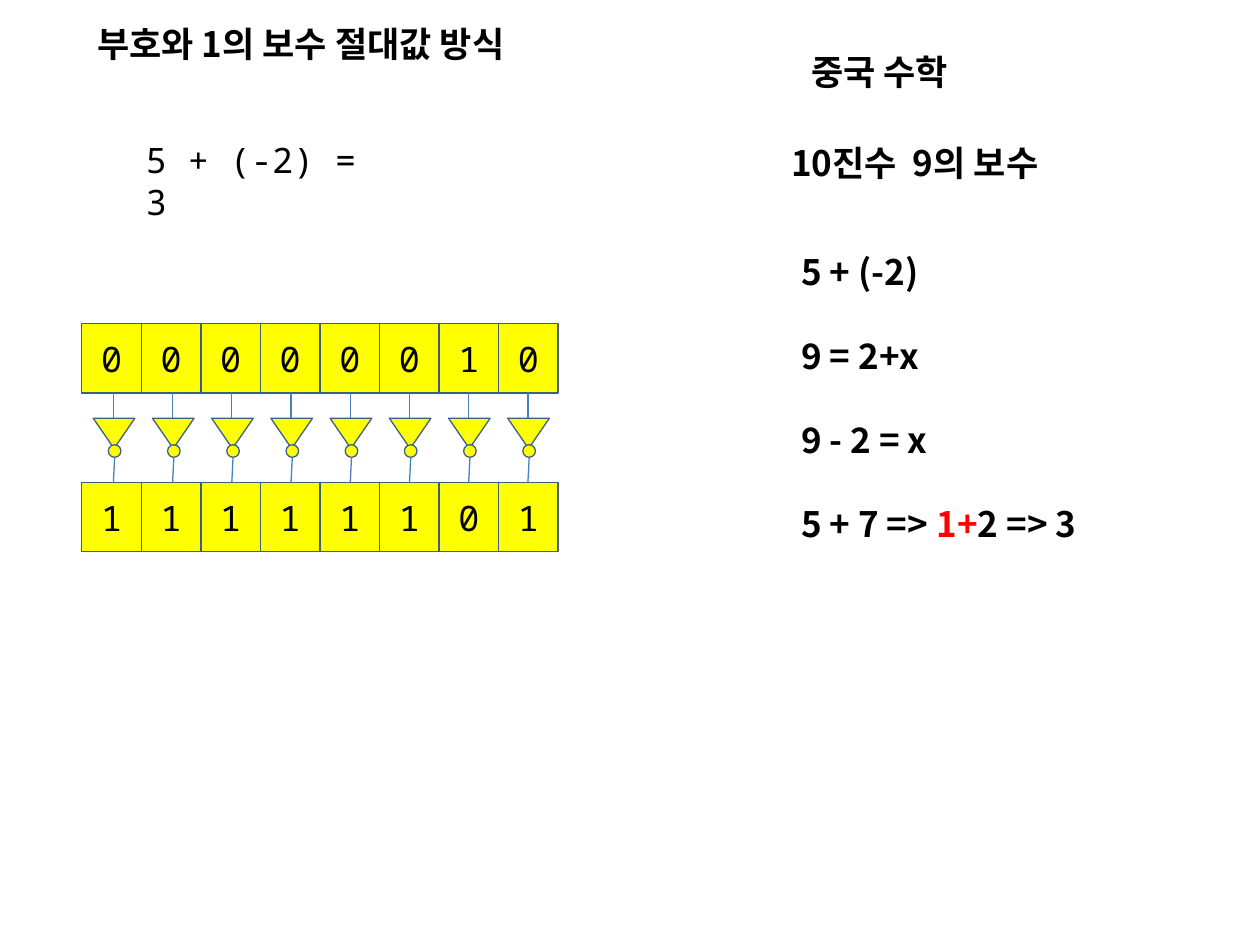
import pptx
import pptx.util
import pptx.dml.color
import pptx.enum.shapes
import pptx.enum.text
import pptx.oxml
import pptx.oxml.ns
import lxml.etree

Inches = pptx.util.Inches
Pt = pptx.util.Pt
Shapes = pptx.enum.shapes.MSO_SHAPE
Align = pptx.enum.text.PP_ALIGN
Anchor = pptx.enum.text.MSO_ANCHOR

COLORS = {"text": "000000", "carry": "FF0000", "fill": "FFFF00",
          "outline": "3A5F8C", "wire": "4B7EBC"}
KOREAN = "Noto Sans CJK KR"
MONO = "Noto Sans Mono"
GATE_PITCH = 0.47


def color(name):
    return pptx.dml.color.RGBColor.from_string(COLORS[name])


def format_run(run, font_name, bold, color_name="text"):
    run.font.name = font_name
    run.font.size = Pt(20)
    run.font.bold = bold
    run.font.color.rgb = color(color_name)
    east_asian = lxml.etree.SubElement(run.font._element, pptx.oxml.ns.qn("a:ea"))
    east_asian.set("typeface", font_name)


def format_text(shape, font_name, bold):
    frame = shape.text_frame
    frame.word_wrap = True
    frame.auto_size = pptx.enum.text.MSO_AUTO_SIZE.NONE
    frame.vertical_anchor = Anchor.TOP
    for paragraph in frame.paragraphs:
        paragraph.alignment = Align.LEFT
        if font_name == KOREAN:
            paragraph.line_spacing = Pt(24)
        for run in paragraph.runs:
            format_run(run, font_name, bold)


def add_text(slide, text, left, top, width, height, font_name=KOREAN, bold=True):
    box = slide.shapes.add_textbox(Inches(left), Inches(top), Inches(width), Inches(height))
    box.text_frame.text = text
    format_text(box, font_name, bold)
    return box


def add_filled(shapes, kind, left, top, width, height):
    shape = shapes.add_shape(kind, Inches(left), Inches(top), Inches(width), Inches(height))
    shape.shadow.inherit = False
    shape.fill.solid()
    shape.fill.fore_color.rgb = color("fill")
    shape.line.color.rgb = color("outline")
    shape.line.width = Pt(0.75)
    return shape


def add_wire(shapes, start_x, start_y, end_x, end_y):
    wire = shapes.add_connector(pptx.enum.shapes.MSO_CONNECTOR.STRAIGHT,
                                Inches(start_x), Inches(start_y), Inches(end_x), Inches(end_y))
    wire.line.color.rgb = color("wire")
    wire.line.width = Pt(0.75)
    lxml.etree.SubElement(wire._element.spPr, pptx.oxml.ns.qn("a:effectLst"))


def add_register(slide, bits, left, top, width, height):
    cell_width = width / len(bits)
    for index, bit in enumerate(bits):
        cell = add_filled(slide.shapes, Shapes.RECTANGLE,
                          left + index * cell_width, top, cell_width, height)
        cell.text_frame.text = bit
        cell.text_frame.vertical_anchor = Anchor.MIDDLE
        paragraph = cell.text_frame.paragraphs[0]
        paragraph.alignment = Align.CENTER
        format_run(paragraph.runs[0], MONO, False)


def add_inverter(slide, left, top):
    shapes = slide.shapes.add_group_shape().shapes
    triangle = add_filled(shapes, Shapes.ISOSCELES_TRIANGLE, left, top + 0.2, 0.33, 0.24)
    triangle.rotation = 180
    add_filled(shapes, Shapes.OVAL, left + 0.12, top + 0.41, 0.1, 0.1)
    add_wire(shapes, left + 0.16, top, left + 0.16, top + 0.2)
    add_wire(shapes, left + 0.17, top + 0.51, left + 0.16, top + 0.71)


def add_complement_circuit(slide, bits, left, top):
    inverted = bits.translate(str.maketrans("01", "10"))
    add_register(slide, bits, left, top, 3.78, 0.55)
    add_register(slide, inverted, left, top + 1.26, 3.78, 0.55)
    for index in range(len(bits)):
        add_inverter(slide, left + 0.09 + index * GATE_PITCH, top + 0.55)


def add_decimal_example(slide, left, top):
    add_text(slide, "중국 수학", left + 0.16, top, 1.52, 0.44)
    add_text(slide, "10진수  9의 보수", left, top + 0.72, 2.49, 0.44)
    steps = ["5 + (-2)", "9 = 2+x", "9 - 2 = x", "5 + 7 => "]
    box = add_text(slide, "\n".join(steps), left + 0.08, top + 1.59, 2.82, 2.46)
    paragraphs = box.text_frame.paragraphs
    for paragraph in paragraphs[1:]:
        paragraph.space_before = Pt(24)
    for text, color_name in (("1+", "carry"), ("2 => 3", "text")):
        run = paragraphs[-1].add_run()
        run.text = text
        format_run(run, KOREAN, True, color_name)


def add_title(slide, text, left, top, width, height):
    title = slide.shapes.title
    title.left, title.top = Inches(left), Inches(top)
    title.width, title.height = Inches(width), Inches(height)
    title.text_frame.text = text
    format_text(title, KOREAN, True)


presentation = pptx.Presentation()
presentation.slide_width = Inches(10)
presentation.slide_height = Inches(7.5)
slide = presentation.slides.add_slide(presentation.slide_layouts[5])
add_title(slide, "부호와 1의 보수 절대값 방식", 0.67, 0.13, 3.94, 0.44)
add_text(slide, "5 + (-2) = 3", 1.06, 1.05, 2.05, 0.44, MONO, False)
add_complement_circuit(slide, "00000010", 0.65, 2.57)
add_decimal_example(slide, 6.18, 0.35)
presentation.save("out.pptx")
